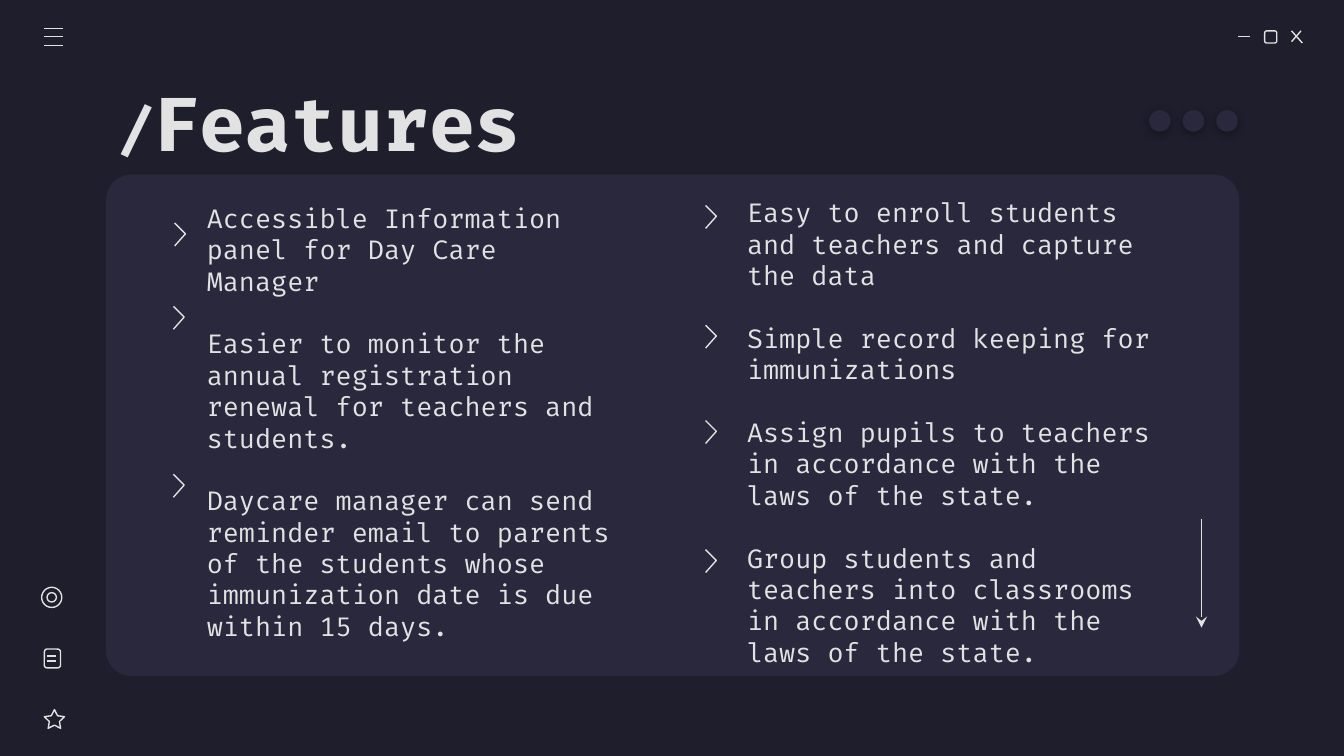
from pptx import Presentation
from pptx.util import Inches, Pt
from pptx.dml.color import RGBColor
from pptx.enum.shapes import MSO_SHAPE as Kind, MSO_CONNECTOR as Wire
from pptx.enum.text import MSO_ANCHOR as Anchor
from pptx.oxml import parse_xml
from pptx.oxml.ns import nsdecls

PALE, PANEL, DARK = "E2E2E2", "29283D", "1E1E2C"
FONT = "Fira Code"
SHADE = (
    '<a:effectLst {}><a:outerShdw blurRad="57150" dist="19050" dir="5400000">'
    '<a:srgbClr val="000000"><a:alpha val="30000"/></a:srgbClr>'
    "</a:outerShdw></a:effectLst>"
).format(nsdecls("a"))


def paint(item, fill=None, line=None):
    """Set the fill and line of a shape; None means no paint."""
    item.shadow.inherit = False
    for part, tone in ((item.fill, fill), (item.line.fill, line)):
        if tone:
            part.solid()
            part.fore_color.rgb = RGBColor.from_string(tone)
        else:
            part.background()
    if line:
        item.line.width = Pt(0.75)


def rule(x1, y1, x2, y2):
    """Draw a thin pale line."""
    wire = shapes.add_connector(
        Wire.STRAIGHT, Inches(x1), Inches(y1), Inches(x2), Inches(y2))
    wire.line.color.rgb = RGBColor.from_string(PALE)
    wire.line.width = Pt(0.75)
    wire._element.spPr.append(parse_xml(f"<a:effectLst {nsdecls('a')}/>"))
    return wire


# Widescreen slide, 16 to 9
deck = Presentation()
deck.slide_width = Inches(10)
deck.slide_height = Inches(10 * 9 / 16)
slide = deck.slides.add_slide(deck.slide_layouts[6])
shapes = slide.shapes
slide.background.fill.solid()
slide.background.fill.fore_color.rgb = RGBColor.from_string(DARK)

# Panel
panel = shapes.add_shape(
    Kind.ROUNDED_RECTANGLE, Inches(0.79), Inches(1.3), Inches(8.43), Inches(3.73))
panel.adjustments[0] = 0.05
paint(panel, fill=PANEL)

# Title
title = shapes.add_textbox(Inches(0.79), Inches(0.59), Inches(8.43), Inches(0.63))
frame = title.text_frame
frame.word_wrap = True
frame.vertical_anchor = Anchor.MIDDLE
for word, size in (("/", 30), ("Features", 40)):
    run = frame.paragraphs[0].add_run()
    run.text = word
    run.font.name, run.font.size, run.font.bold = FONT, Pt(size), True
    run.font.color.rgb = RGBColor.from_string(PALE)

# Two columns of features
left = [
    "Accessible Information panel for Day Care Manager",
    "Easier to monitor the annual registration renewal for teachers and students.",
    "Daycare manager can send reminder email to parents of the students whose "
    "immunization date is due within 15 days.",
]
right = [
    "Easy to enroll students and teachers and capture the data",
    "Simple record keeping for immunizations",
    "Assign pupils to teachers in accordance with the laws of the state.",
    "Group students and teachers into classrooms in accordance with the laws "
    "of the state.",
]
for items, x, y, w, h in (
    (left, 1.44, 1.36, 3.28, 3.56),
    (right, 5.46, 2.28, 3.42, 1.87),
):
    box = shapes.add_textbox(Inches(x), Inches(y), Inches(w), Inches(h))
    frame = box.text_frame
    frame.word_wrap = True
    frame.vertical_anchor = Anchor.MIDDLE
    frame.margin_top = frame.margin_bottom = Inches(0.1)
    frame.text = "\n".join(items)
    for i, para in enumerate(frame.paragraphs):
        para.space_before = Pt(16.8 if i else 0)
        font = para.runs[0].font
        font.name, font.size = FONT, Pt(14)
        font.color.rgb = RGBColor.from_string(PALE)

# Chevrons beside the features
for x, y in ((1.3, 1.66), (1.29, 2.28), (1.29, 3.53),
             (5.25, 1.53), (5.25, 2.42), (5.25, 3.13), (5.25, 4.09)):
    pen = shapes.build_freeform(Inches(x), Inches(y))
    pen.add_line_segments(
        [(Inches(x + 0.08), Inches(y + 0.08)), (Inches(x), Inches(y + 0.17))],
        close=False)
    paint(pen.convert_to_shape(), line=PALE)

# Menu, window buttons and the lines on the page icon
for y in (0.21, 0.27, 0.34):
    rule(0.33, y, 0.47, y)
rule(9.21, 0.27, 9.3, 0.27)
rule(9.61, 0.23, 9.69, 0.32)
rule(9.68, 0.23, 9.61, 0.31)
for y in (4.88, 4.92):
    rule(0.35, y, 0.42, y)

# Outlined icons: window, star, page, target
for kind, x, y, w, h in (
    (Kind.ROUNDED_RECTANGLE, 9.41, 0.23, 0.09, 0.09),
    (Kind.STAR_5_POINT, 0.33, 5.28, 0.15, 0.14),
    (Kind.ROUNDED_RECTANGLE, 0.33, 4.83, 0.12, 0.14),
    (Kind.OVAL, 0.31, 4.37, 0.15, 0.15),
    (Kind.OVAL, 0.35, 4.41, 0.07, 0.07),
):
    icon = shapes.add_shape(kind, Inches(x), Inches(y), Inches(w), Inches(h))
    if kind == Kind.STAR_5_POINT:
        icon.adjustments[0] = 0.25
    paint(icon, line=PALE)

# Down arrow
arrow = rule(8.94, 3.86, 8.94, 4.67)
arrow.line._get_or_add_ln().append(
    parse_xml(f'<a:tailEnd {nsdecls("a")} type="stealth"/>'))

# Three dots with a soft shadow
for i in range(3):
    dot = shapes.add_shape(
        Kind.OVAL, Inches(8.55 + 0.25 * i), Inches(0.82), Inches(0.16), Inches(0.16))
    paint(dot, fill=PANEL)
    props = dot._element.spPr
    props.replace(props[-1], parse_xml(SHADE))

deck.save("out.pptx")
